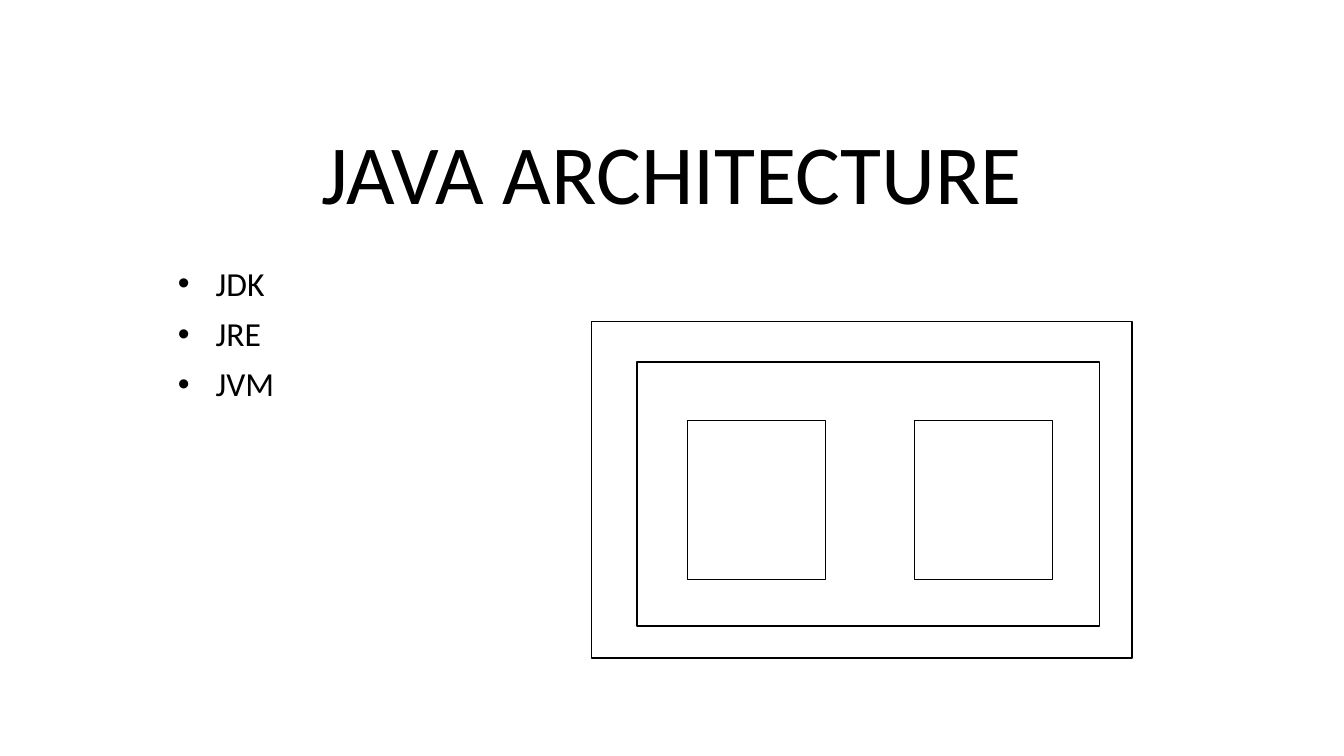
from dataclasses import dataclass

from lxml import etree
from pptx import Presentation
from pptx.dml.color import RGBColor
from pptx.enum.shapes import MSO_SHAPE
from pptx.enum.text import MSO_ANCHOR, PP_ALIGN
from pptx.oxml.ns import qn
from pptx.util import Inches, Pt

RECT = MSO_SHAPE.RECTANGLE
TOP, BOTTOM = MSO_ANCHOR.TOP, MSO_ANCHOR.BOTTOM
LEFT, CENTER = PP_ALIGN.LEFT, PP_ALIGN.CENTER
CELL = Inches(1) / 6
COLS, ROWS = 80, 45


@dataclass(frozen=True)
class Theme:
    font: str = "Calibri"
    ink: RGBColor = RGBColor(0, 0, 0)
    paper: RGBColor = RGBColor(255, 255, 255)
    title: int = 60
    body: int = 24
    outline: int = 1


def grid(cells):
    return round(cells * CELL)


def apply(target, values):
    for name, value in values.items():
        setattr(target, name, value)


class Board:
    def __init__(self, slide, theme):
        self.slide = slide
        self.theme = theme

    def text(self, box, lines, size, anchor=TOP, bullet_indent=0, **paragraph):
        sp = self.slide.shapes.add_textbox(*map(grid, box))
        tf = sp.text_frame
        apply(tf, {"word_wrap": True, "vertical_anchor": anchor})
        for i, line in enumerate(lines):
            p = tf.add_paragraph() if i else tf.paragraphs[0]
            apply(p, {"line_spacing": 0.9, **paragraph})
            r = p.add_run()
            r.text = line
            apply(r.font, {"name": self.theme.font, "size": Pt(size)})
            r.font.color.rgb = self.theme.ink
            if bullet_indent:
                self.bullet(p, grid(bullet_indent))

    def bullet(self, p, indent):
        pPr = p._p.get_or_add_pPr()
        pPr.set("marL", str(indent))
        pPr.set("indent", str(-indent))
        etree.SubElement(pPr, qn("a:buFont")).set("typeface", "Arial")
        etree.SubElement(pPr, qn("a:buChar")).set("char", "•")

    def frame(self, box):
        sp = self.slide.shapes.add_shape(RECT, *map(grid, box))
        sp.shadow.inherit = False
        sp.fill.solid()
        sp.fill.fore_color.rgb = self.theme.paper
        sp.line.color.rgb = self.theme.ink
        sp.line.width = Pt(self.theme.outline)


prs = Presentation()
apply(prs, {"slide_width": grid(COLS), "slide_height": grid(ROWS)})
theme = Theme()
s = Board(prs.slides.add_slide(prs.slide_layouts[6]), theme)

margin = 10
width = COLS - 2 * margin
s.text((margin, 7.38, width, 6.18), ["JAVA ARCHITECTURE"], theme.title,
       anchor=BOTTOM, alignment=CENTER)
s.text((margin, 15.6, width, 18.9), ["JDK", "JRE", "JVM"], theme.body,
       bullet_indent=2.25, alignment=LEFT, space_before=Pt(10))

jdk_box = (35.22, 19.14, 32.16, 20.04)
jre_box = (37.92, 21.54, 27.54, 15.72)
inner_left, inner_step = 40.92, 13.5
inner_boxes = [(inner_left + i * inner_step, 25.02, 8.22, 9.48) for i in range(2)]
for box in (jdk_box, jre_box, *inner_boxes):
    s.frame(box)

prs.save("out.pptx")
